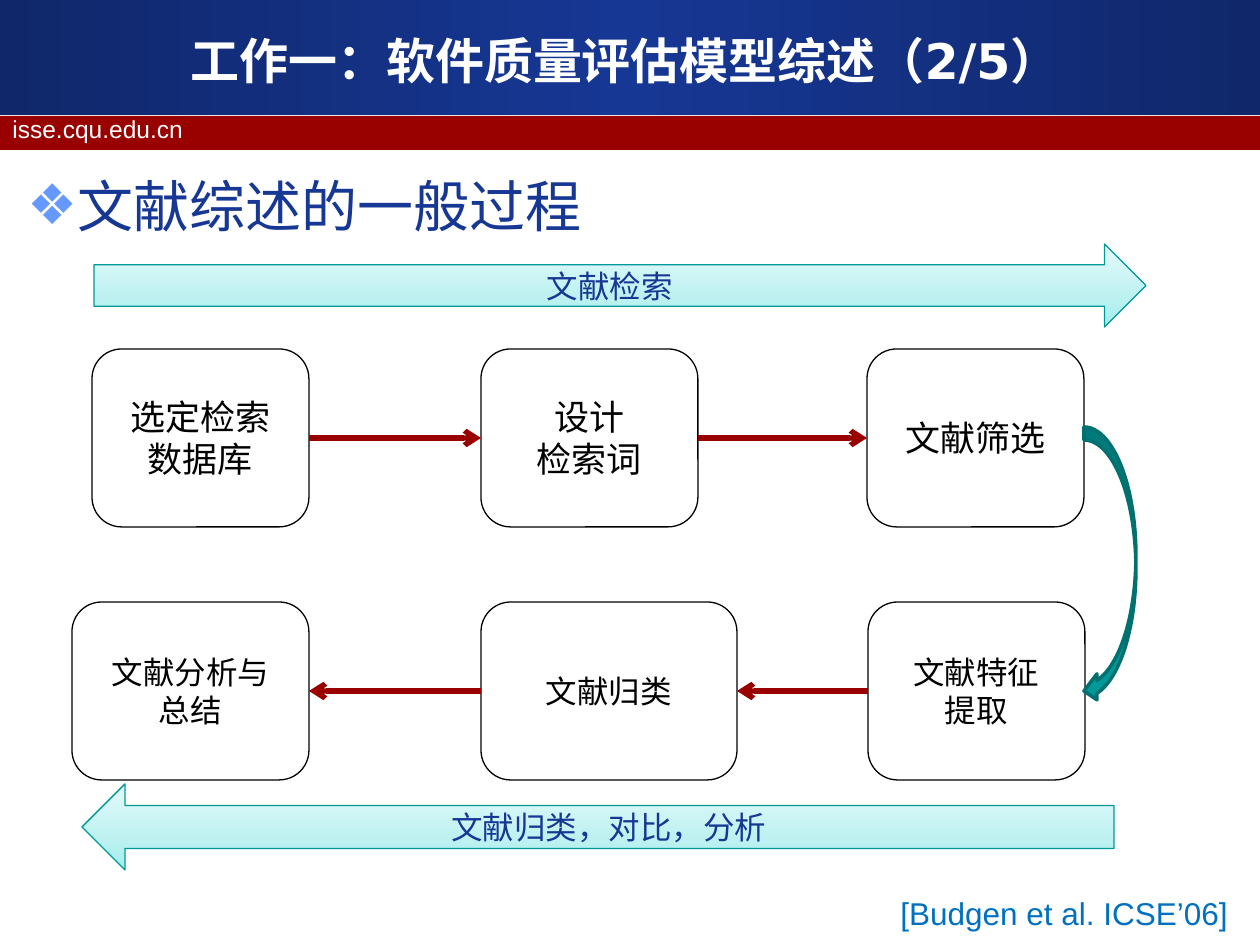
import dataclasses

import lxml.etree
import pptx
import pptx.dml.color
import pptx.enum.shapes
import pptx.enum.text
import pptx.oxml
import pptx.oxml.ns
import pptx.util

EMU_PER_PX = 914400 / 126
SHAPE = pptx.enum.shapes.MSO_SHAPE
ALIGN = pptx.enum.text.PP_ALIGN
ANCHOR = pptx.enum.text.MSO_ANCHOR
FIT = pptx.enum.text.MSO_AUTO_SIZE


@dataclasses.dataclass(frozen=True)
class Theme:
    navy: str = "163794"
    red: str = "990000"
    teal: str = "009999"
    deep_teal: str = "007070"
    bullet: str = "6699FF"
    cite: str = "0070C0"
    white: str = "FFFFFF"
    black: str = "000000"
    header_stops: tuple = ((0, "10276A"), (50, "163794"), (100, "10276A"))
    phase_stops: tuple = ((0, "A1EDED"), (35, "BDF1F1"), (100, "E5FAFA"))
    latin: str = "Arial"
    heading: str = "DejaVu Sans"
    cjk: str = "Noto Sans CJK SC"
    title_size: int = 28
    list_size: int = 32
    search_size: int = 20
    text_size: int = 18
    site_size: int = 14
    thin: float = 0.75
    medium: int = 2
    thick: int = 3


THEME = Theme()


def px(length):
    return pptx.util.Emu(round(length * EMU_PER_PX))


def rgb(value):
    return pptx.dml.color.RGBColor.from_string(value)


def apply(target, settings):
    for name, value in settings.items():
        setattr(target, name, value)


def place(element, box):
    apply(element, dict(zip(("left", "top", "width", "height"), map(px, box))))


def write(frame, lines, size, color, face=THEME.cjk, bold=False,
          align=ALIGN.LEFT, **frame_format):
    apply(frame, {"word_wrap": True, **frame_format})
    for index, line in enumerate(lines):
        paragraph = frame.paragraphs[0] if index == 0 else frame.add_paragraph()
        apply(paragraph, {"alignment": align, "space_before": pptx.util.Pt(0)})
        run = paragraph.add_run()
        run.text = line
        apply(run.font, {"size": pptx.util.Pt(size), "name": face, "bold": bold})
        run.font.color.rgb = rgb(color)
        east_asian = lxml.etree.Element(pptx.oxml.ns.qn("a:ea"), typeface=THEME.cjk)
        run.font._element.find(pptx.oxml.ns.qn("a:latin")).addnext(east_asian)


def paint_gradient(shape, stops, angle):
    shape.fill.gradient()
    shape.fill.gradient_angle = angle
    stop_list = shape._element.spPr.find(".//" + pptx.oxml.ns.qn("a:gsLst"))
    for old_stop in list(stop_list):
        stop_list.remove(old_stop)
    for percent, color in stops:
        stop_list.append(pptx.oxml.parse_xml(
            f'<a:gs {pptx.oxml.ns.nsdecls("a")} pos="{percent * 1000}">'
            f'<a:srgbClr val="{color}"/></a:gs>'))


def add_figure(slide, kind, box, fill=None, line=None, weight=THEME.thin):
    figure = slide.shapes.add_shape(kind, *map(px, box))
    figure.shadow.inherit = False
    if fill:
        figure.fill.solid()
        figure.fill.fore_color.rgb = rgb(fill)
    else:
        figure.fill.background()
    if line:
        figure.line.color.rgb = rgb(line)
        figure.line.width = pptx.util.Pt(weight)
    else:
        figure.line.fill.background()
    return figure


def add_step(slide, box, lines, size):
    step = add_figure(slide, SHAPE.ROUNDED_RECTANGLE, box, line=THEME.black)
    write(step.text_frame, lines, size, THEME.black, align=ALIGN.CENTER,
          vertical_anchor=ANCHOR.MIDDLE)
    return step


def add_phase(slide, kind, box, label):
    phase = add_figure(slide, kind, box, line=THEME.teal)
    paint_gradient(phase, THEME.phase_stops, 90)
    write(phase.text_frame, [label], THEME.text_size, THEME.navy,
          align=ALIGN.CENTER, vertical_anchor=ANCHOR.MIDDLE)


def add_flow(slide, source, target, exit_site, entry_site):
    flow = slide.shapes.add_connector(
        pptx.enum.shapes.MSO_CONNECTOR.STRAIGHT, 0, 0, 0, 0)
    flow.begin_connect(source, exit_site)
    flow.end_connect(target, entry_site)
    flow.line.color.rgb = rgb(THEME.red)
    flow.line.width = pptx.util.Pt(THEME.thick)
    outline = flow.line._get_or_add_ln()
    lxml.etree.SubElement(outline, pptx.oxml.ns.qn("a:tailEnd"), type="arrow")
    lxml.etree.SubElement(flow._element.spPr, pptx.oxml.ns.qn("a:effectLst"))


def add_row(slide, top, size, steps, exit_site, entry_site):
    row = [add_step(slide, (left, top, width, 178), lines, size)
           for left, width, lines in steps]
    for source, target in zip(row, row[1:]):
        add_flow(slide, source, target, exit_site, entry_site)


def add_label(slide, box, text, size, color, wrap):
    label = slide.shapes.add_textbox(*map(px, box))
    write(label.text_frame, [text], size, color, THEME.latin,
          word_wrap=wrap, auto_size=FIT.SHAPE_TO_FIT_TEXT)


def add_header(slide):
    banner = add_figure(slide, SHAPE.RECTANGLE, (0, 0, 1260, 115))
    paint_gradient(banner, THEME.header_stops, 0)
    add_figure(slide, SHAPE.RECTANGLE, (0, 116, 1260, 34), fill=THEME.red)
    add_label(slide, (0, 108, 1211, 43), "isse.cqu.edu.cn",
              THEME.site_size, THEME.white, True)


def fill_body(slide, text):
    body = slide.placeholders[1]
    place(body, (15, 165, 1134, 723))
    paragraph = body.text_frame.paragraphs[0]
    properties = paragraph._element.get_or_add_pPr()
    properties.set("marL", str(px(48)))
    properties.set("indent", str(px(-48)))
    color = lxml.etree.SubElement(properties, pptx.oxml.ns.qn("a:buClr"))
    lxml.etree.SubElement(color, pptx.oxml.ns.qn("a:srgbClr"), val=THEME.bullet)
    lxml.etree.SubElement(properties, pptx.oxml.ns.qn("a:buChar"), char="❖")
    write(body.text_frame, [text], THEME.list_size, THEME.navy, THEME.latin,
          vertical_anchor=ANCHOR.TOP, auto_size=FIT.NONE)
    slide.shapes._spTree.append(body._element)


def fill_title(slide, text):
    title = slide.shapes.title
    place(title, (42, 21, 1166, 78))
    write(title.text_frame, [text], THEME.title_size, THEME.white, THEME.heading,
          bold=True, align=ALIGN.CENTER, vertical_anchor=ANCHOR.MIDDLE,
          auto_size=FIT.NONE)
    slide.shapes._spTree.append(title._element)


def main():
    deck = pptx.Presentation()
    apply(deck, {"slide_width": px(1260), "slide_height": px(945)})
    slide = deck.slides.add_slide(deck.slide_layouts[1])
    add_header(slide)
    fill_body(slide, "文献综述的一般过程")
    fill_title(slide, "工作一：软件质量评估模型综述（2/5）")

    left_site, right_site = 1, 3
    add_row(slide, 349, THEME.search_size, [
        (92, 217, ["选定检索数据库"]),
        (481, 217, ["设计", "检索词"]),
        (867, 217, ["文献筛选"]),
    ], right_site, left_site)
    add_row(slide, 602, THEME.text_size, [
        (868, 217, ["文献特征", "提取"]),
        (481, 256, ["文献归类"]),
        (72, 237, ["文献分析与", "总结"]),
    ], left_site, right_site)
    add_figure(slide, SHAPE.CURVED_LEFT_ARROW, (1084, 427, 52, 277),
               THEME.teal, THEME.deep_teal, THEME.medium)

    add_phase(slide, SHAPE.LEFT_ARROW, (82, 784, 1032, 86), "文献归类，对比，分析")
    add_phase(slide, SHAPE.RIGHT_ARROW, (94, 244, 1052, 83), "文献检索")
    add_label(slide, (888, 888, 355, 50), "[Budgen et al. ICSE’06]",
              THEME.text_size, THEME.cite, False)
    deck.save("out.pptx")


if __name__ == "__main__":
    main()
